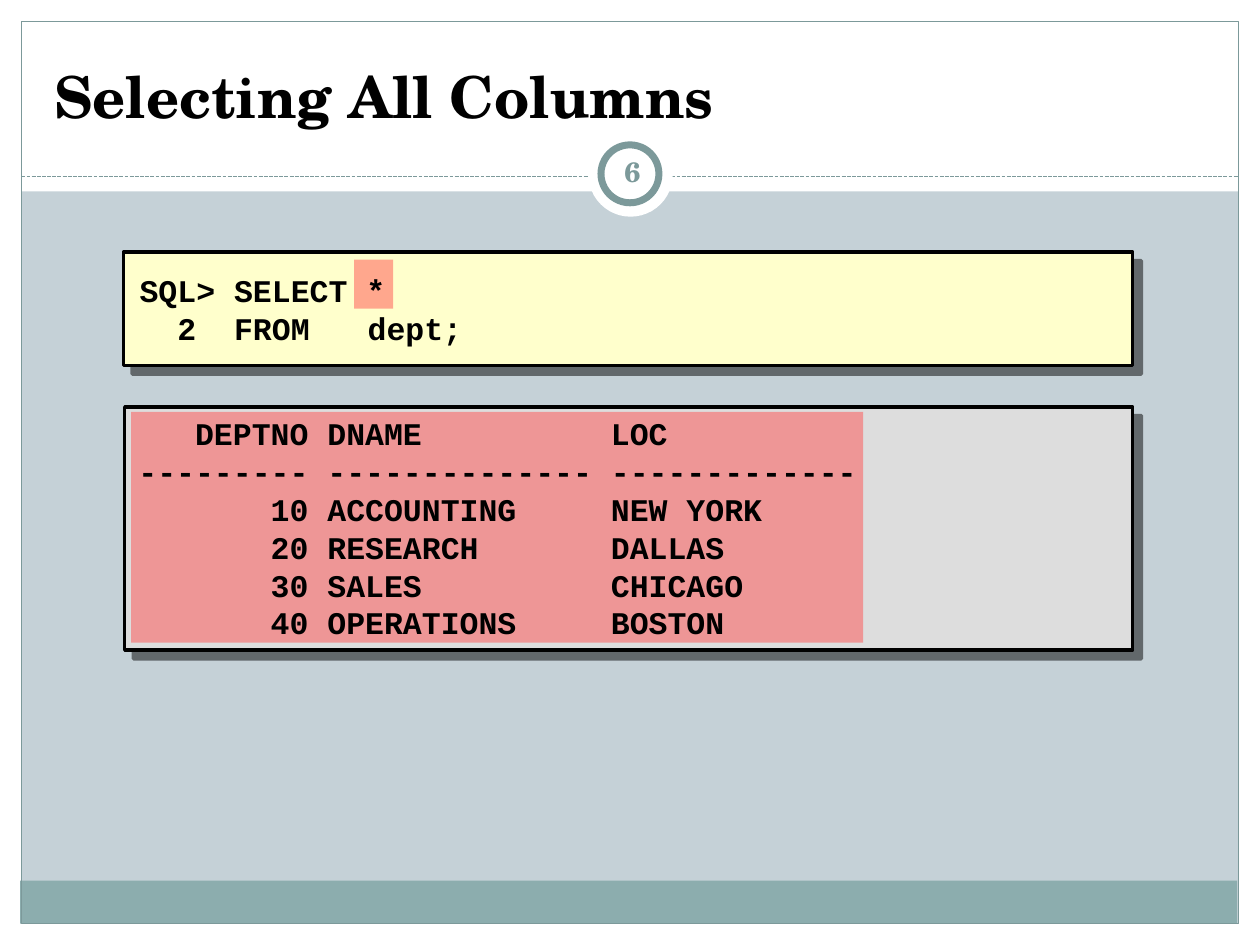
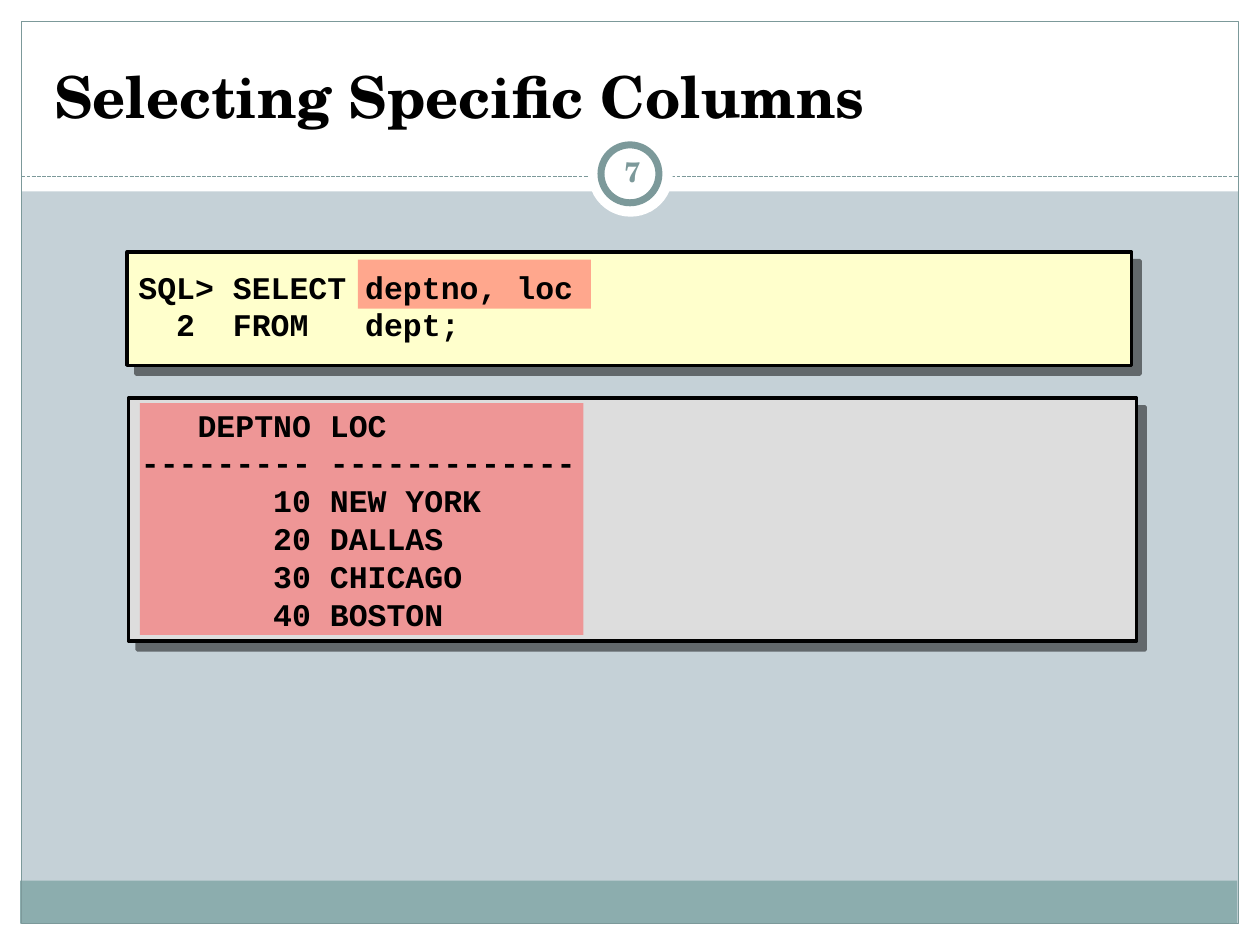
"""Build two slides on selecting all or specific columns in SQL."""
from dataclasses import dataclass
from typing import NamedTuple, Optional

from lxml.etree import SubElement
from pptx import Presentation
from pptx.dml.color import RGBColor
from pptx.enum.dml import MSO_LINE
from pptx.enum.shapes import MSO_CONNECTOR, MSO_SHAPE
from pptx.enum.text import MSO_ANCHOR, MSO_AUTO_SIZE, PP_ALIGN
from pptx.oxml.ns import qn
from pptx.util import Inches, Pt


@dataclass(frozen=True)
class Theme:
    background: str = "C5D1D7"
    white: str = "FFFFFF"
    black: str = "000000"
    accent: str = "7C999A"
    footer: str = "8CADAE"
    code: str = "FFFFCC"
    result: str = "DDDDDD"
    highlight: str = "FF5050"
    serif: str = "TeX Gyre Schola"
    mono: str = "Courier New"
    title_size: int = 33
    code_size: int = 18
    number_size: int = 16


class Box(NamedTuple):
    left: float
    top: float
    width: float
    height: float

    def emu(self) -> tuple:
        return tuple(Inches(v) for v in self)


class Column(NamedTuple):
    name: str
    width: int
    align: str


class Style(NamedTuple):
    fill: Optional[str] = None
    line: Optional[str] = None
    line_width: float = 0.75
    alpha: Optional[int] = None
    shadow: bool = False


@dataclass(frozen=True)
class QuerySlide:
    number: int
    title: str
    query: tuple
    columns: tuple
    result_panel: Box
    query_panel: Box
    query_mark: Box
    result_mark: Box
    result_text: Box
    query_text: Box


T = Theme()
DEPTNO = Column("DEPTNO", 9, ">")
DNAME = Column("DNAME", 14, "<")
LOC = Column("LOC", 13, "<")
DEPARTMENTS = (
    {"DEPTNO": "10", "DNAME": "ACCOUNTING", "LOC": "NEW YORK"},
    {"DEPTNO": "20", "DNAME": "RESEARCH", "LOC": "DALLAS"},
    {"DEPTNO": "30", "DNAME": "SALES", "LOC": "CHICAGO"},
    {"DEPTNO": "40", "DNAME": "OPERATIONS", "LOC": "BOSTON"},
)
TITLE = Box(0.33, 0.25, 9.33, 0.83)
NUMBER = Box(4.77, 1.12, 0.5, 0.48)
QUERY_TABS = (1.31, 1.81)
PANEL_LINE = 2

RECT, OVAL = MSO_SHAPE.RECTANGLE, MSO_SHAPE.OVAL
WHITE = Style(T.white)
FRAME = (
    (RECT, Box(0, 7.33, 10, 0.17), WHITE),
    (RECT, Box(0, 0, 10, 1.52), WHITE),
    (RECT, Box(0, 0, 0.17, 7.5), WHITE),
    (RECT, Box(9.83, 0, 0.17, 7.5), WHITE),
    (RECT, Box(0.16, 6.99, 9.66, 0.34), Style(T.footer)),
    (RECT, Box(0.17, 0.17, 9.66, 7.16), Style(line=T.accent)),
)
BADGE = (
    (OVAL, Box(4.67, 1.05, 0.67, 0.67), WHITE),
    (OVAL, Box(4.77, 1.15, 0.46, 0.46), Style(T.white, T.accent, 4)),
)

SLIDES = (
    QuerySlide(
        6, "Selecting All Columns",
        ("SQL> SELECT *", "  2  FROM \tdept;"),
        (DEPTNO, DNAME, LOC),
        result_panel=Box(0.99, 3.23, 8, 1.93),
        query_panel=Box(0.98, 2, 8.01, 0.9),
        query_mark=Box(2.81, 2.06, 0.31, 0.39),
        result_mark=Box(1.04, 3.27, 5.81, 1.83),
        result_text=Box(1, 3.24, 7.97, 1.9),
        query_text=Box(1.01, 1.99, 7.96, 0.93),
    ),
    QuerySlide(
        7, "Selecting Specific Columns",
        ("SQL> SELECT deptno, loc", "  2  FROM   dept;"),
        (DEPTNO, LOC),
        result_panel=Box(1.02, 3.16, 8, 1.93),
        query_panel=Box(1.01, 2, 7.97, 0.9),
        query_mark=Box(2.84, 2.06, 1.85, 0.39),
        result_mark=Box(1.11, 3.2, 3.52, 1.84),
        result_text=Box(1.02, 3.17, 7.97, 1.9),
        query_text=Box(1, 1.96, 8, 0.93),
    ),
)


def rgb(color: str) -> RGBColor:
    return RGBColor.from_string(color)


def add_shadow(sp) -> None:
    effects = sp.element.spPr.find(qn("a:effectLst"))
    shadow = SubElement(effects, qn("a:outerShdw"), blurRad="0", dist=str(Pt(7.1)),
                        dir=str(45 * 60000), algn="ctr", rotWithShape="0")
    color = SubElement(shadow, qn("a:srgbClr"), val=T.black)
    SubElement(color, qn("a:alpha"), val="50000")


def add_shape(s, kind, box: Box, style: Style):
    sp = s.shapes.add_shape(kind, *box.emu())
    if style.fill:
        sp.fill.solid()
        sp.fill.fore_color.rgb = rgb(style.fill)
    else:
        sp.fill.background()
    if style.alpha is not None:
        color = sp.element.spPr.find(qn("a:solidFill")).find(qn("a:srgbClr"))
        SubElement(color, qn("a:alpha"), val=str(style.alpha * 1000))
    if style.line:
        sp.line.color.rgb = rgb(style.line)
        sp.line.width = Pt(style.line_width)
    else:
        sp.line.fill.background()
    sp.shadow.inherit = False
    if style.shadow:
        add_shadow(sp)
    return sp


def format_runs(tf, font: str, size: int, color: str, bold: bool) -> None:
    for p in tf.paragraphs:
        for r in p.runs:
            r.font.name = font
            r.font.size = Pt(size)
            r.font.color.rgb = rgb(color)
            r.font.bold = bold


def add_code(s, box: Box, lines: tuple, anchor, tabs: tuple = ()) -> None:
    tf = s.shapes.add_textbox(*box.emu()).text_frame
    tf.word_wrap = True
    tf.vertical_anchor = anchor
    tf.text = "\n".join(lines)
    if tabs:
        for p in tf.paragraphs:
            stops = SubElement(p._p.get_or_add_pPr(), qn("a:tabLst"))
            for pos in tabs:
                SubElement(stops, qn("a:tab"), pos=str(Inches(pos)), algn="l")
    format_runs(tf, T.mono, T.code_size, T.black, True)


def add_number(s, number: int) -> None:
    tf = s.shapes.add_textbox(*NUMBER.emu()).text_frame
    tf.word_wrap = True
    tf.vertical_anchor = MSO_ANCHOR.MIDDLE
    tf.margin_left = tf.margin_right = Inches(0.05)
    tf.text = str(number)
    tf.paragraphs[0].alignment = PP_ALIGN.CENTER
    format_runs(tf, T.serif, T.number_size, T.accent, True)


def result_lines(columns: tuple) -> tuple:
    header = {c.name: c.name for c in columns}
    rule = {c.name: "-" * c.width for c in columns}
    return tuple(
        " ".join(f"{row[c.name]:{c.align}{c.width}}" for c in columns).rstrip()
        for row in (header, rule, *DEPARTMENTS)
    )


def draw_frame(s) -> None:
    for item in FRAME:
        add_shape(s, *item)
    line = s.shapes.add_connector(MSO_CONNECTOR.STRAIGHT, Inches(0.17), Inches(1.4),
                                  Inches(9.83), Inches(1.4))
    line.line.color.rgb = rgb(T.accent)
    line.line.width = Pt(0.75)
    line.line.dash_style = MSO_LINE.SQUARE_DOT
    SubElement(line.element.spPr, qn("a:effectLst"))
    for item in BADGE:
        add_shape(s, *item)


def prepare_layout(layout) -> None:
    layout.background.fill.solid()
    layout.background.fill.fore_color.rgb = rgb(T.background)
    for ph in list(layout.placeholders):
        if ph.placeholder_format.idx != 0:
            ph.element.getparent().remove(ph.element)


def move_frame_to_layout(s, layout) -> None:
    for sp in list(s.shapes):
        if not sp.is_placeholder:
            layout.shapes.element.append(sp.element)


def add_title(s, text: str) -> None:
    title = s.shapes.title
    title.left, title.top, title.width, title.height = TITLE.emu()
    tf = title.text_frame
    tf.text = text
    tf.word_wrap = True
    tf.auto_size = MSO_AUTO_SIZE.NONE
    tf.vertical_anchor = MSO_ANCHOR.BOTTOM
    tf.paragraphs[0].alignment = PP_ALIGN.LEFT
    format_runs(tf, T.serif, T.title_size, T.black, True)


def fill_slide(s, q: QuerySlide) -> None:
    add_title(s, q.title)
    for box, fill in ((q.result_panel, T.result), (q.query_panel, T.code)):
        add_shape(s, RECT, box, Style(fill, T.black, PANEL_LINE, shadow=True))
    for box in (q.query_mark, q.result_mark):
        add_shape(s, RECT, box, Style(T.highlight, alpha=50))
    add_code(s, q.result_text, result_lines(q.columns), MSO_ANCHOR.TOP)
    add_code(s, q.query_text, q.query, MSO_ANCHOR.MIDDLE, QUERY_TABS)
    add_number(s, q.number)


def main() -> None:
    prs = Presentation()
    prs.slide_width, prs.slide_height = Inches(10), Inches(7.5)
    layout = prs.slide_layouts[5]
    prepare_layout(layout)
    slides = [prs.slides.add_slide(layout) for _ in SLIDES]
    draw_frame(slides[0])
    move_frame_to_layout(slides[0], layout)
    for s, q in zip(slides, SLIDES):
        fill_slide(s, q)
    prs.save("out.pptx")


if __name__ == "__main__":
    main()
